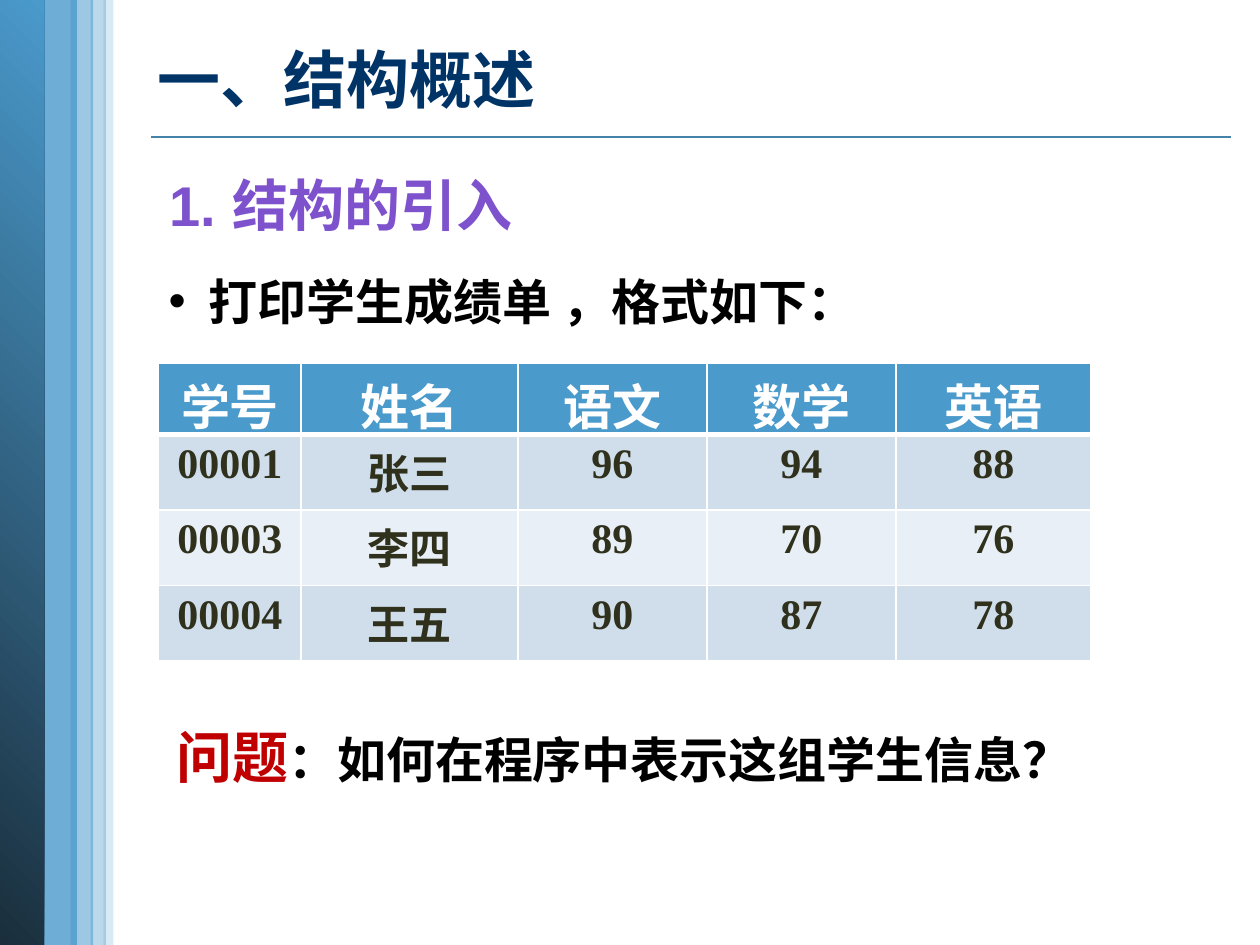
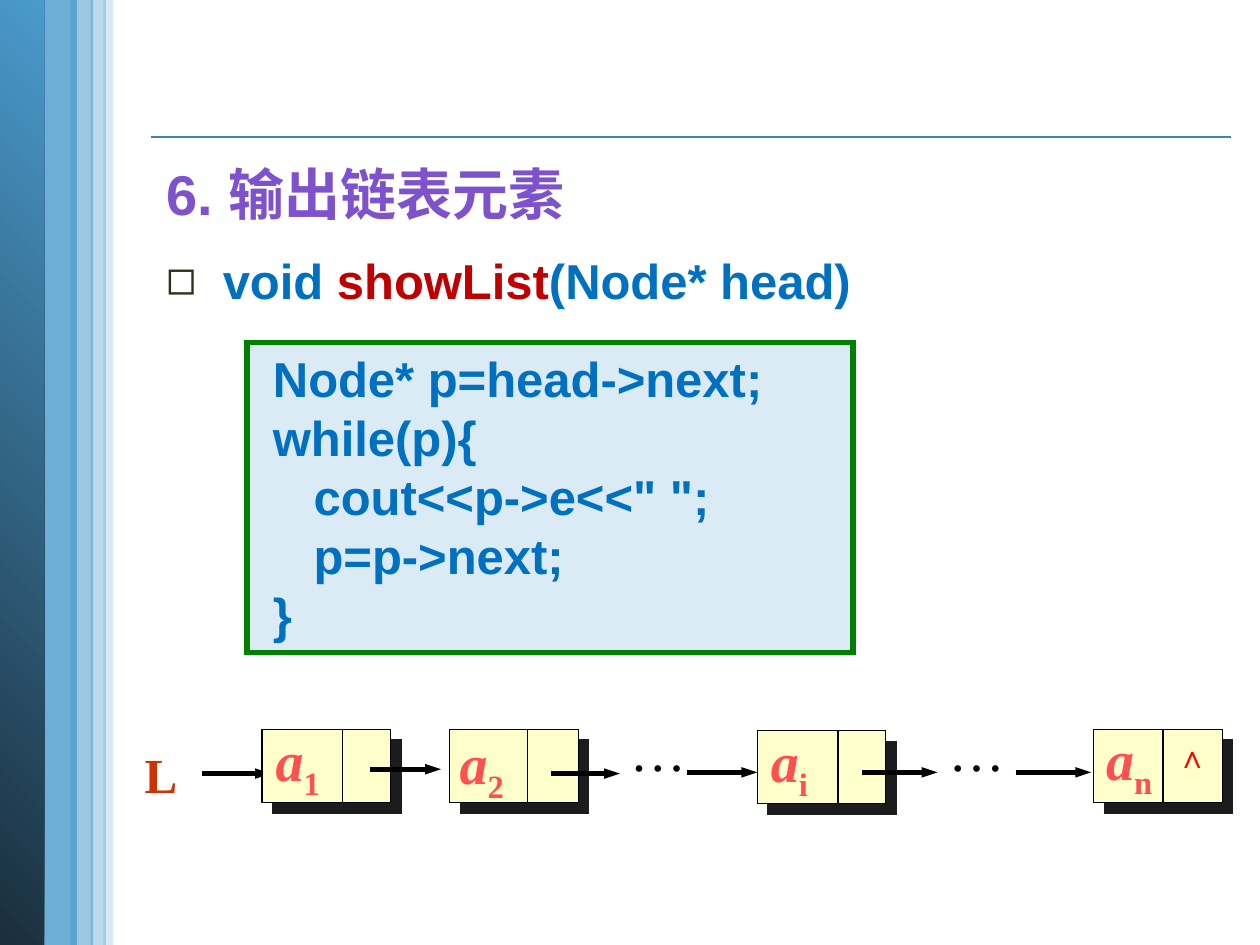
from lxml.etree import SubElement
from pptx import Presentation
from pptx.dml.color import RGBColor
from pptx.enum.shapes import MSO_CONNECTOR, MSO_SHAPE
from pptx.enum.text import MSO_ANCHOR, MSO_AUTO_SIZE, PP_ALIGN
from pptx.oxml.ns import qn
from pptx.util import Inches, Pt

COLORS = {
    "accent": "4A9ACC", "deep": "1A2E3C", "rule": "4582A7", "title": "003366",
    "heading": "7E52CC", "black": "000000", "white": "FFFFFF", "ink": "30311D",
    "code": "0070C0", "key": "C00000", "code_bg": "DBEBF5", "code_line": "008000",
    "band1": "D0DEEC", "band2": "E9EFF6", "node": "FFFFCC", "shadow": "1C1C1C",
    "item": "FF5050", "null": "FF0000", "head": "CC3300",
}
SANS, SERIF = "Arial", "Times New Roman"
COLS, ROWS = 100, 75
WIDTH, HEIGHT = Inches(10), Inches(7.5)
# Translucent bands at the left edge: column, row, width, height, opacity in %
BANDS = [(3, 0, 3.1, 75.3, 80), (8.2, -0.2, 0.8, 75.2, 20),
         (5.6, 0, 1.8, 75.1, 54), (7.2, 0, 1.2, 75.2, 37)]


def rgb(name):
    return RGBColor.from_string(COLORS[name])


def grid(*at):
    """Turn column, row pairs of the grid into lengths."""
    units = (WIDTH / COLS, HEIGHT / ROWS)
    return [round(v * units[i % 2]) for i, v in enumerate(at)]


def add_bullet(p, char, color, indent):
    pPr = p._p.get_or_add_pPr()
    pPr.set("marL", str(Inches(indent)))
    pPr.set("indent", str(-Inches(indent)))
    clr = SubElement(pPr, qn("a:buClr"))
    SubElement(clr, qn("a:srgbClr"), val=COLORS[color])
    SubElement(pPr, qn("a:buFont"), typeface=SANS)
    SubElement(pPr, qn("a:buChar"), char=char)


def add_bottom_border(cell, color, weight):
    tcPr = cell._tc.get_or_add_tcPr()
    ln = SubElement(tcPr, qn("a:lnB"), w=str(Pt(weight)))
    SubElement(SubElement(ln, qn("a:solidFill")), qn("a:srgbClr"), val=COLORS[color])
    tcPr.insert(0, ln)


def write(tf, text, size=28, color="black", font=SANS, bold=True, align=PP_ALIGN.LEFT,
          spacing=None, bullet=None):
    """Write lines; a line is a string or a list of (text, changes) runs."""
    lines = text if isinstance(text, list) else [text]
    for i, line in enumerate(lines):
        p = tf.paragraphs[0] if i == 0 else tf.add_paragraph()
        if bullet:
            add_bullet(p, *bullet)
        p.alignment = align
        if spacing:
            p.line_spacing = spacing
        for part, changes in ([(line, {})] if isinstance(line, str) else line):
            r = p.add_run()
            r.text = part
            r.font.name = font
            r.font.size = Pt(changes.get("size", size))
            r.font.bold = bold
            r.font.italic = changes.get("italic", False)
            r.font.color.rgb = rgb(changes.get("color", color))
            if "base" in changes:
                r._r.get_or_add_rPr().set("baseline", str(changes["base"] * 1000))


class Deck:
    def __init__(self):
        self.prs = Presentation()
        self.prs.slide_width, self.prs.slide_height = WIDTH, HEIGHT
        self.s = None

    def slide(self, title=None):
        """Start a slide with the shared rule and bands."""
        self.s = self.prs.slides.add_slide(self.prs.slide_layouts[5 if title else 6])
        self.line(12, 10.9, 97.7, 10.9, "rule", 1)
        self.band(*BANDS[0])
        edge = self.rect(-0.1, 0, 3.6, 75)
        edge.fill.gradient()
        edge.fill.gradient_angle = 45
        for stop, color in zip(edge.fill.gradient_stops, ("deep", "accent")):
            stop.color.rgb = rgb(color)
        for band in BANDS[1:]:
            self.band(*band)
        if title:
            sp = self.s.shapes.title
            sp.left, sp.top, sp.width, sp.height = grid(11.5, 0.7, 87, 11.1)
            sp.text_frame.vertical_anchor = MSO_ANCHOR.MIDDLE
            write(sp.text_frame, title, size=36, color="title")

    def rect(self, x, y, w, h, fill=None, line=None, weight=0.75):
        sp = self.s.shapes.add_shape(MSO_SHAPE.RECTANGLE, *grid(x, y, w, h))
        sp.shadow.inherit = False
        if fill:
            sp.fill.solid()
            sp.fill.fore_color.rgb = rgb(fill)
        if line:
            sp.line.color.rgb = rgb(line)
            sp.line.width = Pt(weight)
            SubElement(sp.line._get_or_add_ln(), qn("a:miter"), lim="800000")
        else:
            sp.line.fill.background()
        return sp

    def band(self, x, y, w, h, opacity):
        sp = self.rect(x, y, w, h, "accent")
        clr = sp._element.spPr.find(qn("a:solidFill"))[0]
        SubElement(clr, qn("a:alpha"), val=str(opacity * 1000))

    def line(self, x1, y1, x2, y2, color="black", weight=0.75, arrow=False):
        cx = self.s.shapes.add_connector(MSO_CONNECTOR.STRAIGHT, *grid(x1, y1, x2, y2))
        cx.line.color.rgb = rgb(color)
        cx.line.width = Pt(weight)
        if arrow:
            SubElement(cx.line._get_or_add_ln(), qn("a:tailEnd"),
                       type="triangle", w="sm", len="med")
        SubElement(cx._element.spPr, qn("a:effectLst"))

    def arrow(self, x1, y1, x2, y2):
        self.line(x1, y1, x2, y2, weight=3, arrow=True)

    def text(self, x, y, w, h, text, wrap=True, **fmt):
        tf = self.s.shapes.add_textbox(*grid(x, y, w, h)).text_frame
        tf.word_wrap = wrap
        if not wrap:
            tf.auto_size = MSO_AUTO_SIZE.SHAPE_TO_FIT_TEXT
        write(tf, text, **fmt)

    def heading(self, x, y, text):
        self.text(x, y, 66, 6.2, text, size=32, color="heading")

    def code(self, x, y, w, h, lines):
        sp = self.rect(x, y, w, h, "code_bg", "code_line", 3)
        sp.text_frame.vertical_anchor = MSO_ANCHOR.TOP
        write(sp.text_frame, lines, color="code")

    def table(self, x, y, widths, heights, rows):
        frame = self.s.shapes.add_table(len(rows), len(widths),
                                        *grid(x, y, sum(widths), sum(heights)))
        table = frame.table
        for col, w in zip(table.columns, widths):
            col.width = grid(w)[0]
        for i, (row, h) in enumerate(zip(rows, heights)):
            table.rows[i].height = grid(0, h)[1]
            fill = "accent" if i == 0 else "band1" if i % 2 else "band2"
            fmt = (dict(size=28, color="white") if i == 0
                   else dict(size=24, color="ink", font=SERIF))
            for j, value in enumerate(row):
                cell = table.cell(i, j)
                cell.fill.solid()
                cell.fill.fore_color.rgb = rgb(fill)
                if i == 0:
                    add_bottom_border(cell, "white", 3)
                write(cell.text_frame, value, align=PP_ALIGN.CENTER, **fmt)

    def node(self, x, y, split, index, label_x, label_y):
        """A list node: shadowed box, divider and a subscripted label."""
        w, h = 10.2, 5.8
        sp = self.rect(x, y, w, h, "node", "black")
        effects = sp._element.spPr.find(qn("a:effectLst"))
        shadow = SubElement(effects, qn("a:outerShdw"), dist=str(Pt(8.5)),
                            dir=str(45 * 60000), algn="ctr", rotWithShape="0")
        SubElement(shadow, qn("a:srgbClr"), val=COLORS["shadow"])
        self.line(x + split, y, x + split, y + h)
        self.text(label_x, label_y, 5.7, 6.3,
                  [[("a", {"italic": True}), (index, {"base": -25})]],
                  wrap=False, size=32, color="item", font=SERIF)


def score_slide(deck):
    deck.slide("一、结构概述")
    deck.text(12.4, 20.6, 84.6, 5.7, "打印学生成绩单 ，格式如下：", spacing=1.1,
              bullet=("•", "black", 0.32))
    deck.heading(12.5, 13, "1. 结构的引入")
    # Score sheet
    deck.table(12.6, 28.8, [11.3, 17.2, 15, 15, 15.5], [5.6, 6, 6, 6], [
        ("学号", "姓名", "语文", "数学", "英语"),
        ("00001", "张三", "96", "94", "88"),
        ("00003", "李四", "89", "70", "76"),
        ("00004", "王五", "90", "87", "78"),
    ])
    # Question
    deck.text(13, 56.3, 75.9, 6.9,
              [[("问题", {"size": 32, "color": "key"}),
                ("：如何在程序中表示这组学生信息？", {})]], spacing=1.1)


def list_slide(deck):
    deck.slide()
    deck.heading(12.2, 12.2, "6. 输出链表元素")
    deck.text(12.2, 18.9, 83.6, 5.8,
              [[("void ", {}), ("showList", {"color": "key"}), ("(Node* head)", {})]],
              color="code", spacing=1.1, bullet=("◻", "ink", 0.45))
    deck.code(19.6, 27.2, 48.1, 24.6, [
        " Node* p=head->next;",
        " while(p){",
        "    cout<<p->e<<\" \";",
        "    p=p->next;",
        " }",
    ])
    # Linked list: head pointer, nodes, then the links over them
    deck.text(10.5, 58.6, 4.6, 5.7, "L", wrap=False, color="head", font=SERIF)
    deck.arrow(16, 61.4, 21.5, 61.4)
    for node in [(20.8, 57.9, 6.4, "1", 20.9, 57.1), (35.7, 57.9, 6.15, "2", 35.5, 57.3),
                 (60.1, 58, 6.4, "i", 60.2, 57.2), (86.8, 57.9, 5.5, "n", 86.8, 57)]:
        deck.node(*node)
    for x1, x2, y in [(29.4, 35, 61.05), (43.7, 49.2, 61.4), (54.5, 60.1, 61.3),
                      (68.4, 74.4, 61.3), (80.6, 86.6, 61.3)]:
        deck.arrow(x1, y, x2, y)
    for x in (49, 74.3):
        deck.text(x, 56.3, 5.5, 6.3, "…", size=32, font=SERIF, bold=False)
    deck.text(92.4, 58, 4.5, 5, "∧", size=18, color="null", font=SERIF)


def main():
    deck = Deck()
    score_slide(deck)
    list_slide(deck)
    deck.prs.save("out.pptx")


if __name__ == "__main__":
    main()
